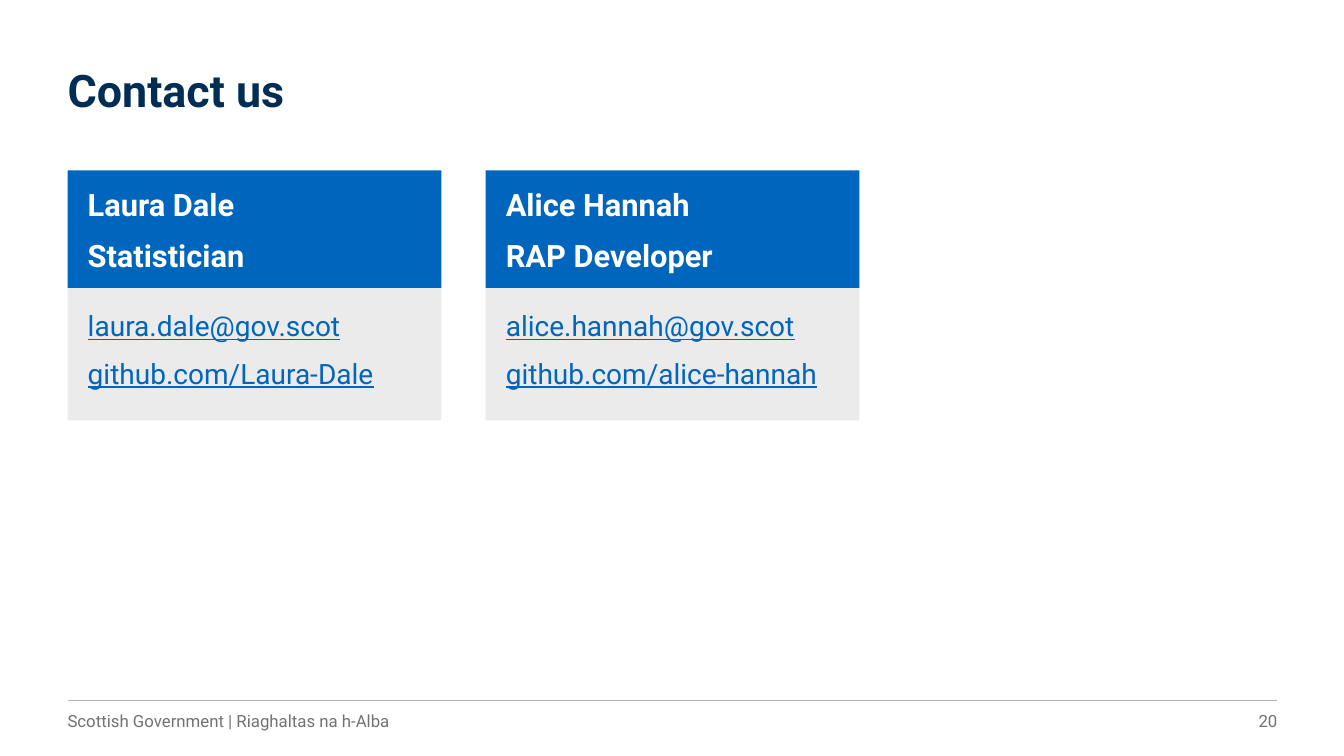
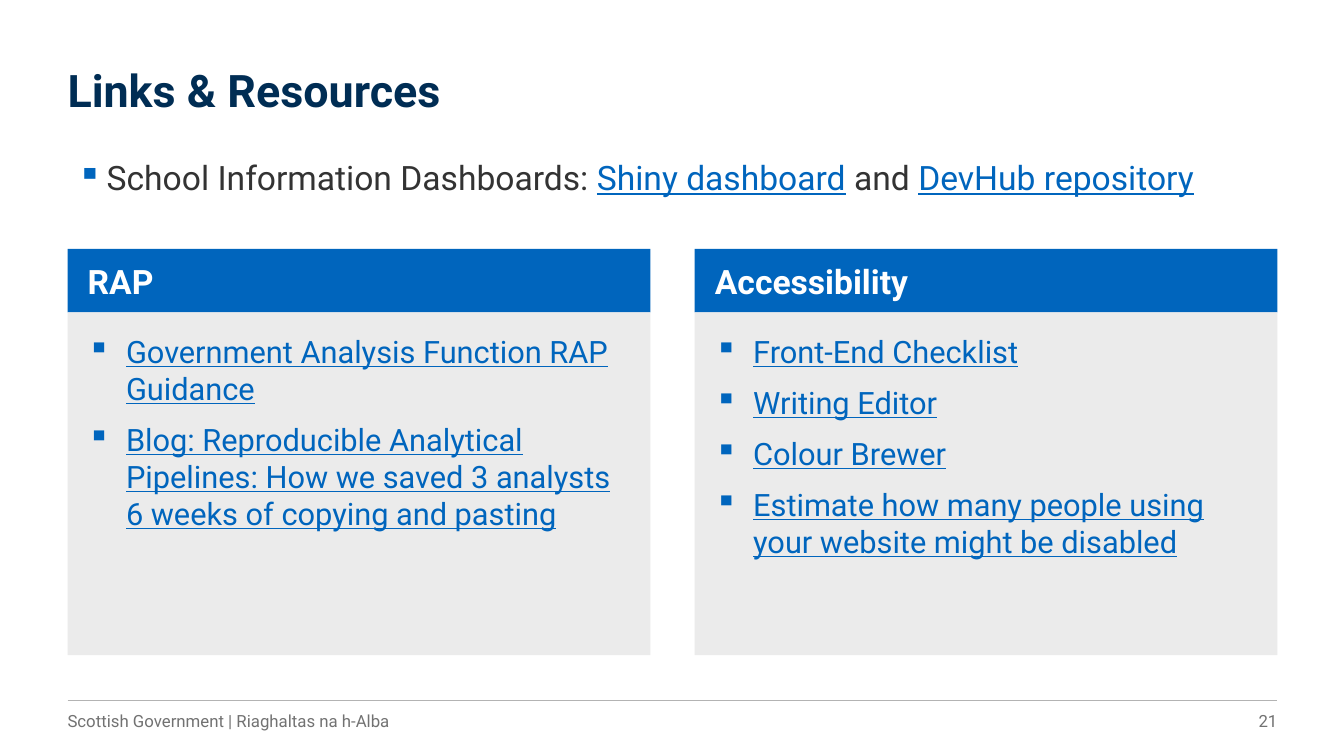
from collections import namedtuple

from lxml.etree import SubElement
from pptx import Presentation
from pptx.dml.color import RGBColor
from pptx.enum.shapes import MSO_CONNECTOR, MSO_SHAPE
from pptx.enum.text import MSO_ANCHOR as ANCHOR, PP_ALIGN as ALIGN
from pptx.oxml.ns import qn
from pptx.util import Inches, Pt

COLORS = {
    "title": "002D54",
    "accent": "0065BD",
    "panel": "EBEBEB",
    "text": "333333",
    "footer": "727272",
    "rule": "B3B3B3",
    "white": "FFFFFF",
}
FONT = "Roboto"
WIDTH, HEIGHT = 13.33, 7.5
MARGIN, GUTTER = 0.67, 0.44
CONTENT_WIDTH = 12
RULE_TOP = 6.95
FOOTER = "Scottish Government | Riaghaltas na h-Alba"

Box = namedtuple("Box", "left top width height")

STYLES = {
    "title": {"size": 32, "color": "title", "bold": True},
    "heading": {"size": 24, "color": "white", "bold": True},
    "name": {"size": 22, "color": "white", "bold": True},
    "contact": {"size": 20, "color": "accent", "underline": True},
    "resource": {"size": 22, "color": "accent", "underline": True},
    "lead": {"size": 24, "color": "text"},
    "lead_link": {"size": 24, "color": "accent", "underline": True},
    "footer": {"size": 12, "color": "footer"},
}


def rgb(name):
    return RGBColor.from_string(COLORS[name])


def set_values(target, values):
    for name, value in values.items():
        setattr(target, name, value)


def columns(count, top, height):
    width = (CONTENT_WIDTH - GUTTER * (count - 1)) / count
    return [Box(MARGIN + index * (width + GUTTER), top, width, height)
            for index in range(count)]


def add_bullet(paragraph, indent):
    properties = paragraph._p.get_or_add_pPr()
    properties.set("marL", str(Inches(indent)))
    properties.set("indent", str(-Inches(indent)))
    color = SubElement(properties, qn("a:buClr"))
    SubElement(color, qn("a:srgbClr")).set("val", COLORS["accent"])
    SubElement(properties, qn("a:buChar")).set("char", "▪")


def write(shape, paragraphs, insets, anchor=ANCHOR.TOP, bullet=None, paragraph_format=None):
    frame = shape.text_frame
    sides = ("margin_left", "margin_top", "margin_right", "margin_bottom")
    set_values(frame, {"word_wrap": True, "vertical_anchor": anchor})
    set_values(frame, dict(zip(sides, map(Inches, insets))))
    for index, runs in enumerate(paragraphs):
        paragraph = frame.add_paragraph() if index else frame.paragraphs[0]
        if bullet:
            add_bullet(paragraph, bullet)
        set_values(paragraph, {"alignment": ALIGN.LEFT, "space_before": Pt(10 if index else 0)})
        set_values(paragraph, paragraph_format or {})
        for text, style in runs:
            run = paragraph.add_run()
            run.text = text
            values = {"name": FONT, **STYLES[style]}
            values["size"] = Pt(values["size"])
            run.font.color.rgb = rgb(values.pop("color"))
            set_values(run.font, values)


def add_text(slide, box, paragraphs, insets, **options):
    shape = slide.shapes.add_textbox(*map(Inches, box))
    write(shape, paragraphs, insets, **options)


def add_panel(slide, box, fill, paragraphs, insets, **options):
    shape = slide.shapes.add_shape(MSO_SHAPE.RECTANGLE, *map(Inches, box))
    shape.shadow.inherit = False
    shape.fill.solid()
    shape.fill.fore_color.rgb = rgb(fill)
    shape.line.fill.background()
    write(shape, paragraphs, insets, **options)


def add_card(slide, box, header_height, header, header_style, body, body_style, bullet=None):
    header_box = box._replace(height=header_height)
    body_box = box._replace(top=box.top + header_height, height=box.height - header_height)
    add_panel(slide, header_box, "accent", [[(line, header_style)] for line in header],
              (0.2, 0, 0.2, 0), anchor=ANCHOR.MIDDLE)
    add_panel(slide, body_box, "panel", [[(line, body_style)] for line in body],
              (0.2, 0.2, 0.2, 0.2), bullet=bullet)


def add_footer(slide, box, number):
    rule = slide.shapes.add_connector(
        MSO_CONNECTOR.STRAIGHT, Inches(box.left), Inches(box.top),
        Inches(box.left + box.width), Inches(box.top))
    SubElement(rule._element.spPr, qn("a:effectLst"))
    rule.line.color.rgb = rgb("rule")
    rule.line.width = Pt(0.75)
    number_width = 1.63
    number_box = box._replace(left=box.left + box.width - number_width, width=number_width)
    add_text(slide, box._replace(width=9.93), [[(FOOTER, "footer")]],
             (0, 0.05, 0.1, 0.05), anchor=ANCHOR.MIDDLE)
    add_text(slide, number_box, [[(str(number), "footer")]], (0.1, 0.05, 0, 0.05),
             anchor=ANCHOR.MIDDLE, paragraph_format={"alignment": ALIGN.RIGHT})


def add_slide(presentation, title, number):
    slide = presentation.slides.add_slide(presentation.slide_layouts[6])
    add_text(slide, Box(MARGIN, 0.68, CONTENT_WIDTH, 0.48), [[(title, "title")]],
             (0, 0, 0, 0), paragraph_format={"line_spacing": 0.9})
    add_footer(slide, Box(MARGIN, RULE_TOP, CONTENT_WIDTH, 0.4), number)
    return slide


def add_contact_slide(presentation, number):
    slide = add_slide(presentation, "Contact us", number)
    contacts = [
        (("Laura Dale", "Statistician"),
         ("laura.dale@gov.scot", "github.com/Laura-Dale")),
        (("Alice Hannah", "RAP Developer"),
         ("alice.hannah@gov.scot", "github.com/alice-hannah")),
    ]
    for box, (header, body) in zip(columns(3, 1.69, 2.48), contacts):
        add_card(slide, box, 1.17, header, "name", body, "contact")


def add_resources_slide(presentation, number):
    slide = add_slide(presentation, "Links & Resources", number)
    lead = [
        ("School Information Dashboards: ", "lead"),
        ("Shiny dashboard", "lead_link"),
        (" and ", "lead"),
        ("DevHub repository", "lead_link"),
    ]
    add_text(slide, Box(MARGIN, 1.51, CONTENT_WIDTH, 0.65), [lead],
             (0.1, 0.05, 0.1, 0.05), bullet=0.29)
    resources = {
        "RAP": (
            "Government Analysis Function RAP Guidance",
            "Blog: Reproducible Analytical Pipelines: "
            "How we saved 3 analysts 6 weeks of copying and pasting",
        ),
        "Accessibility": (
            "Front-End Checklist",
            "Writing Editor",
            "Colour Brewer",
            "Estimate how many people using your website might be disabled",
        ),
    }
    for box, (heading, links) in zip(columns(2, 2.47, 4.03), resources.items()):
        add_card(slide, box, 0.63, [heading], "heading", links, "resource", bullet=0.38)


def main():
    presentation = Presentation()
    set_values(presentation, {"slide_width": Inches(WIDTH), "slide_height": Inches(HEIGHT)})
    add_contact_slide(presentation, 20)
    add_resources_slide(presentation, 21)
    presentation.save("out.pptx")


if __name__ == "__main__":
    main()
